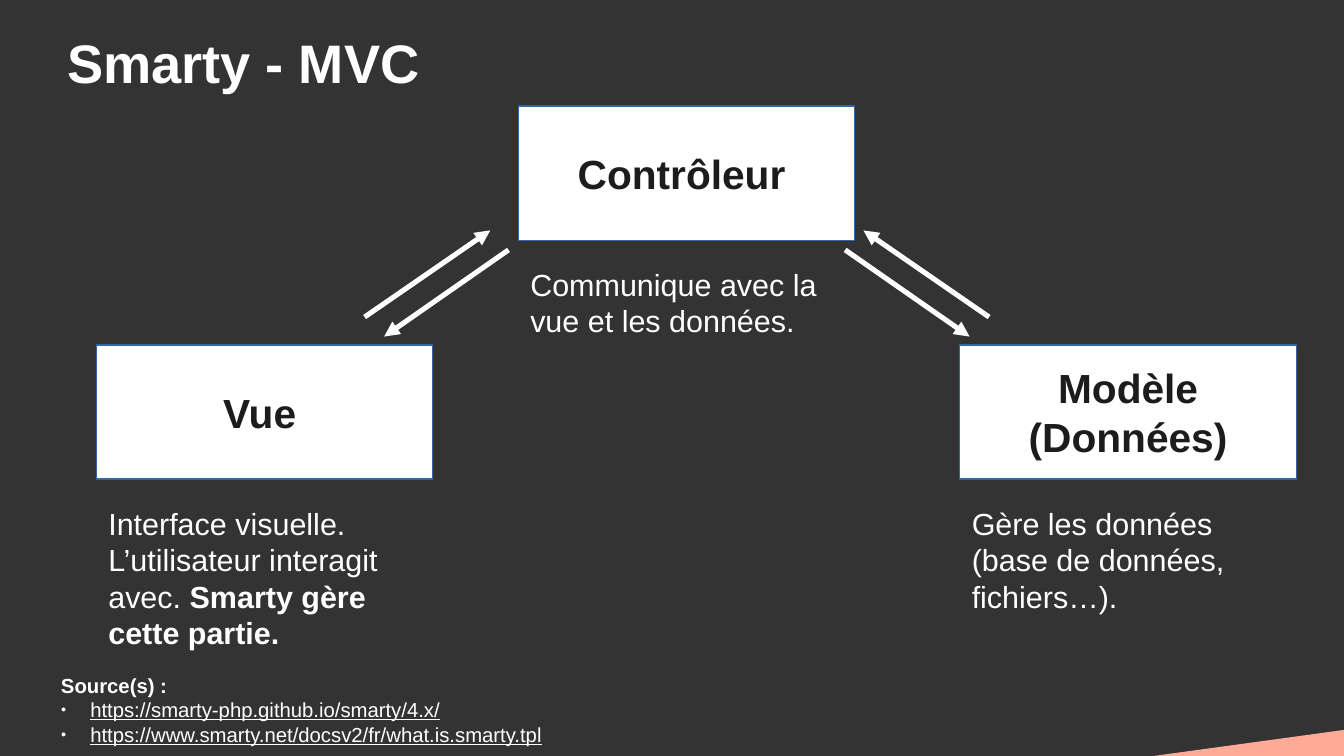
from dataclasses import dataclass

from lxml import etree
from pptx import Presentation
from pptx.dml.color import RGBColor
from pptx.enum.shapes import MSO_CONNECTOR, MSO_SHAPE
from pptx.enum.text import MSO_ANCHOR, MSO_AUTO_SIZE, PP_ALIGN
from pptx.oxml.ns import qn
from pptx.util import Inches, Pt

RECTANGLE, TRIANGLE = MSO_SHAPE.RECTANGLE, MSO_SHAPE.RIGHT_TRIANGLE
STRAIGHT = MSO_CONNECTOR.STRAIGHT
TOP, MIDDLE = MSO_ANCHOR.TOP, MSO_ANCHOR.MIDDLE
LEFT, CENTER = PP_ALIGN.LEFT, PP_ALIGN.CENTER
NO_AUTOFIT = MSO_AUTO_SIZE.NONE


@dataclass(frozen=True)
class Theme:
    font: str = "Arial"
    background: RGBColor = RGBColor(0x33, 0x33, 0x33)
    light: RGBColor = RGBColor(0xFF, 0xFF, 0xFF)
    dark: RGBColor = RGBColor(0x1C, 0x1C, 0x1C)
    border: RGBColor = RGBColor(0x34, 0x65, 0xA4)
    accent: RGBColor = RGBColor(0xFF, 0xAA, 0x95)
    title: int = 32
    label: int = 24
    caption: int = 18
    source: int = 12


THEME = Theme()
NODE_WIDTH, NODE_HEIGHT = 2.76, 1.1
CAPTION_GAP = 0.16


def write(frame, paragraphs, size, color=THEME.light, bold=False, underline=False,
          align=LEFT, anchor=TOP, insets=(0.1, 0.05, 0.1, 0.05), append=False):
    """Fill a text frame; each paragraph is a list of (text, bold) runs or a string."""
    frame.word_wrap = True
    frame.auto_size = NO_AUTOFIT
    frame.vertical_anchor = anchor
    (frame.margin_left, frame.margin_top,
     frame.margin_right, frame.margin_bottom) = map(Inches, insets)
    written = []
    for index, content in enumerate(paragraphs):
        fresh = append or index > 0
        paragraph = frame.add_paragraph() if fresh else frame.paragraphs[0]
        paragraph.alignment = align
        paragraph.space_before = Pt(0)
        runs = [(content, bold)] if isinstance(content, str) else content
        for text, is_bold in runs:
            run = paragraph.add_run()
            run.text = text
            font = run.font
            font.name, font.size, font.color.rgb = THEME.font, Pt(size), color
            font.bold, font.underline = is_bold, underline
        written.append(paragraph)
    return written


def place(shape, left, top, width, height):
    shape.left, shape.top = Inches(left), Inches(top)
    shape.width, shape.height = Inches(width), Inches(height)


def set_bullet(paragraph, indent=0.0, char=None):
    properties = paragraph._p.get_or_add_pPr()
    properties.set("marL", str(Inches(indent)))
    properties.set("indent", str(-Inches(indent)))
    if char is None:
        etree.SubElement(properties, qn("a:buNone"))
        return
    color = etree.SubElement(properties, qn("a:buClr"))
    etree.SubElement(color, qn("a:srgbClr"), val=str(THEME.light))
    etree.SubElement(properties, qn("a:buSzPct"), val="45000")
    etree.SubElement(properties, qn("a:buChar"), char=char)


def add_title(slide, text, box):
    place(slide.shapes.title, *box)
    write(slide.shapes.title.text_frame, [text], THEME.title, bold=True,
          anchor=MIDDLE, insets=(0, 0, 0, 0))


def add_sources(slide, heading, links, box):
    body = slide.placeholders[1]
    place(body, *box)
    for paragraph in write(body.text_frame, [heading], THEME.source, bold=True):
        set_bullet(paragraph)
    for paragraph in write(body.text_frame, links, THEME.source,
                           underline=True, append=True):
        set_bullet(paragraph, 0.24, "●")


def add_corner(slide, box):
    corner = slide.shapes.add_shape(TRIANGLE, *map(Inches, box))
    corner.shadow.inherit = False
    corner.fill.solid()
    corner.fill.fore_color.rgb = THEME.accent
    corner.line.fill.background()
    corner._element.spPr.xfrm.set("flipH", "1")


def add_node(slide, left, top, label, caption, caption_height, right_inset):
    """A labelled box with its caption below."""
    node = slide.shapes.add_shape(RECTANGLE, 0, 0, 0, 0)
    place(node, left, top, NODE_WIDTH, NODE_HEIGHT)
    node.shadow.inherit = False
    node.fill.solid()
    node.fill.fore_color.rgb = THEME.light
    node.line.color.rgb = THEME.border
    node.line.width = Pt(0)
    write(node.text_frame, label, THEME.label, THEME.dark, bold=True, align=CENTER,
          anchor=MIDDLE, insets=(0.1, 0.05, right_inset, 0.05))
    note = slide.shapes.add_textbox(0, 0, 0, 0)
    place(note, left, top + NODE_HEIGHT + CAPTION_GAP, NODE_WIDTH, caption_height)
    write(note.text_frame, [caption], THEME.caption)


def add_arrow(slide, start, end):
    arrow = slide.shapes.add_connector(STRAIGHT, *map(Inches, (*start, *end)))
    arrow.line.color.rgb = THEME.light
    arrow.line.width = Pt(3)
    etree.SubElement(arrow.line._get_or_add_ln(), qn("a:tailEnd"), type="triangle")
    etree.SubElement(arrow._element.spPr, qn("a:effectLst"))


def add_exchanges(slide, axis):
    """Arrow pairs on both sides of a vertical axis, as offsets from it."""
    for side in (-1, 1):
        for (start_x, start_y), (end_x, end_y) in (
            ((2.56, 2.6), (1.53, 1.89)),
            ((1.38, 2.05), (2.4, 2.76)),
        ):
            add_arrow(slide, (axis + side * start_x, start_y),
                      (axis + side * end_x, end_y))


def build_mvc_slide(deck):
    slide = deck.slides.add_slide(deck.slide_layouts[1])
    slide.background.fill.solid()
    slide.background.fill.fore_color.rgb = THEME.background

    # Title, corner and sources
    add_title(slide, "Smarty - MVC", (0.55, 0.25, 9.92, 0.51))
    add_corner(slide, (8.73, 5.94, 2.63, 0.36))
    add_sources(slide, "Source(s)\u00a0:".replace("\u00a0", " "), [
        "https://smarty-php.github.io/smarty/4.x/",
        "https://www.smarty.net/docsv2/fr/what.is.smarty.tpl",
    ], (0.4, 5.47, 9.9, 0.66))

    # Controller, view and model
    add_node(slide, 4.25, 0.87, ["Contrôleur"],
             "Communique avec la vue et les données.", 0.94, 0.18)
    add_node(slide, 0.79, 2.83, ["Vue"],
             [("Interface visuelle. L’utilisateur interagit avec. ", False),
              ("Smarty gère cette partie.", True)], 1.22, 0.18)
    add_node(slide, 7.87, 2.83, ["Modèle", "(Données)"],
             "Gère les données (base de données, fichiers…).", 0.94, 0.1)

    # Arrows between the controller and its neighbours
    add_exchanges(slide, 5.55)


def main():
    deck = Presentation()
    deck.slide_width, deck.slide_height = Inches(11.02), Inches(6.2)
    build_mvc_slide(deck)
    deck.save("out.pptx")


if __name__ == "__main__":
    main()
